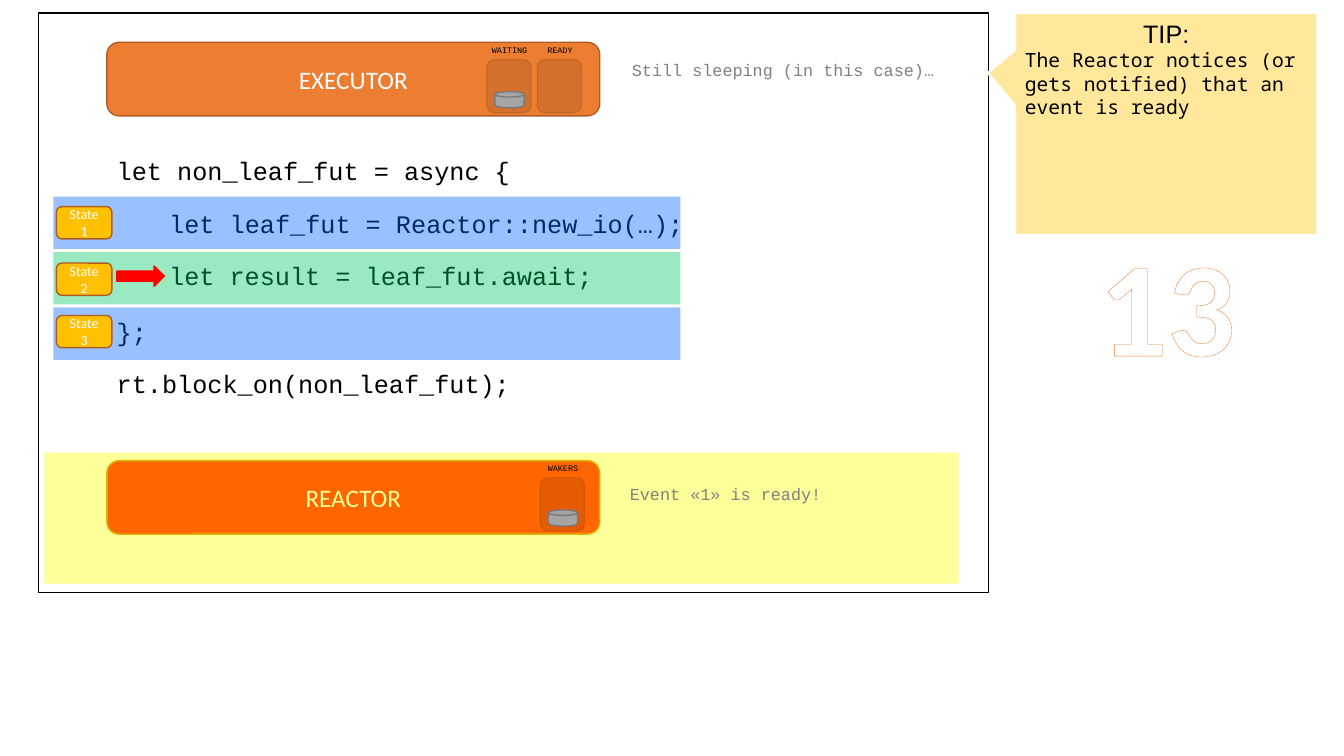
"""Build the slide on which the reactor notices that an event is ready."""
from dataclasses import dataclass

import pptx
import pptx.dml.color
import pptx.enum.shapes
import pptx.enum.text
import pptx.oxml
import pptx.oxml.ns
import pptx.util

SHAPE = pptx.enum.shapes.MSO_SHAPE
ALIGN = pptx.enum.text.PP_ALIGN
ANCHOR = pptx.enum.text.MSO_ANCHOR
CELL = pptx.util.Inches(0.1)
COLS, ROWS = 133.33, 75


@dataclass(frozen=True)
class Theme:
    """Colours, fonts and type sizes of the slide."""
    white: str = "FFFFFF"
    black: str = "000000"
    grey: str = "808080"
    orange: str = "ED7D31"
    rust: str = "AF5C24"
    red: str = "FF0000"
    olive: str = "BD8E00"
    yellow: str = "FFFF00"
    amber: str = "FFC000"
    blue: str = "0066FF"
    green: str = "00CC66"
    slot_line: str = "0D0D0D"
    disk: str = "A5A5A5"
    disk_line: str = "7A7A7A"
    tip: str = "FFE79B"
    sans: str = "Calibri"
    mono: str = "Courier New"
    tip_head: str = "Arial"
    tip_body: str = "Noto Sans Mono"
    tiny: int = 6
    small: int = 10
    note: int = 12
    body: int = 14
    main: int = 18
    huge: int = 96


T = Theme()


def cells(*values):
    """Turn grid units into lengths."""
    return [round(v * CELL) for v in values]


def set_color(fill, color, alpha=100):
    """Give a fill one colour, with an opacity in percent."""
    fill.solid()
    fill.fore_color.rgb = pptx.dml.color.RGBColor.from_string(color)
    if alpha < 100:
        clr = fill._xPr.find(".//" + pptx.oxml.ns.qn("a:srgbClr"))
        node = pptx.oxml.parse_xml(
            f'<a:alpha {pptx.oxml.ns.nsdecls("a")} val="{alpha * 1000}"/>')
        clr.append(node)


def add_box(shapes, kind, at, fill=None, line=None, alpha=100, line_alpha=100, width=1):
    """Add a preset shape with an optional fill and outline."""
    sp = shapes.add_shape(kind, *cells(*at))
    sp.shadow.inherit = False
    if fill:
        set_color(sp.fill, fill, alpha)
    else:
        sp.fill.background()
    if line:
        set_color(sp.line.fill, line, line_alpha)
        sp.line.width = pptx.util.Pt(width)
    else:
        sp.line.fill.background()
    return sp


def format_text(p, size, font, color, align=ALIGN.LEFT):
    """Format a paragraph and its runs."""
    p.alignment = align
    for r in p.runs:
        r.font.size = pptx.util.Pt(size)
        r.font.name = font
        r.font.color.rgb = pptx.dml.color.RGBColor.from_string(color)


def set_text(sp, text, size, font, color, align=ALIGN.LEFT, anchor=ANCHOR.TOP):
    """Write one wrapped paragraph into a shape."""
    tf = sp.text_frame
    tf.word_wrap = True
    tf.vertical_anchor = anchor
    tf.text = text
    format_text(tf.paragraphs[0], size, font, color, align)


def add_label(shapes, at, text, size, font, color, align=ALIGN.LEFT):
    """Add a text box."""
    sp = shapes.add_textbox(*cells(*at))
    set_text(sp, text, size, font, color, align)
    return sp


def add_button(shapes, at, text, size, fill, line):
    """Add a rounded box with centred white text."""
    sp = add_box(shapes, SHAPE.ROUNDED_RECTANGLE, at, fill, line)
    set_text(sp, text, size, T.sans, T.white, ALIGN.CENTER, ANCHOR.MIDDLE)


def add_code(shapes, x, y, w, text):
    """Add one line of code on white."""
    sp = add_box(shapes, SHAPE.RECTANGLE, (x, y, w, 4), T.white)
    set_text(sp, text, T.main, T.mono, T.black)


def add_queue(shapes, x, y, name, has_task):
    """Add a named queue slot, with a task disk if it holds one."""
    parts = shapes.add_group_shape().shapes
    add_box(parts, SHAPE.ROUNDED_RECTANGLE, (x, y, 4.4, 5.3),
            T.black, T.slot_line, alpha=10, line_alpha=10)
    if has_task:
        add_box(parts, SHAPE.FLOWCHART_MAGNETIC_DISK, (x + 0.8, y + 3.2, 2.9, 1.6),
                T.disk, T.disk_line)
    add_label(parts, (x - 0.6, y - 1.9, 5.7, 2), name, T.tiny, T.mono, T.black, ALIGN.CENTER)


def add_step_number(shapes, at, text):
    """Add a large outlined number."""
    sp = add_label(shapes, at, text, T.huge, T.sans, T.white, ALIGN.CENTER)
    font = sp.text_frame.paragraphs[0].runs[0].font
    font.bold = True
    outline = pptx.oxml.parse_xml(
        f'<a:ln {pptx.oxml.ns.nsdecls("a")} w="6600"><a:solidFill>'
        f'<a:srgbClr val="{T.orange}"/></a:solidFill></a:ln>')
    font._element.insert(0, outline)


def add_tip(shapes, at, title, body):
    """Add the callout with its title and body."""
    sp = add_box(shapes, SHAPE.RECTANGULAR_CALLOUT, at, T.tip, T.white, width=1.5)
    sp.adjustments[0], sp.adjustments[1] = -0.59, -0.23
    set_text(sp, title, T.main, T.tip_head, T.black, ALIGN.CENTER)
    p = sp.text_frame.add_paragraph()
    p.text = body
    format_text(p, T.body, T.tip_body, T.black)


def main():
    """Build and save the slide."""
    prs = pptx.Presentation()
    prs.slide_width, prs.slide_height = cells(COLS, ROWS)
    shapes = prs.slides.add_slide(prs.slide_layouts[6]).shapes

    add_button(shapes, (10.6, 4.2, 48.9, 7.3), "EXECUTOR", T.main, T.orange, T.rust)
    add_button(shapes, (10.6, 45.7, 48.9, 7.3), "REACTOR", T.main, T.red, T.olive)
    for x, y, w, text in (
            (10.6, 14.9, 46.6, "let non_leaf_fut = async {"),
            (15.8, 20.2, 63.5, "let leaf_fut = Reactor::new_io(…);"),
            (15.8, 25.3, 57.6, "let result = leaf_fut.await;"),
            (10.6, 30.9, 46.6, "};"),
            (10.6, 36, 46.6, "rt.block_on(non_leaf_fut);")):
        add_code(shapes, x, y, w, text)

    add_box(shapes, SHAPE.RECTANGLE, (3.8, 1.3, 94.3, 57.5), line=T.black)
    add_box(shapes, SHAPE.RECTANGLE, (4.4, 44.9, 90.7, 13), T.yellow, alpha=40)
    for x, y, text in ((61.7, 5.4, "Still sleeping (in this case)…"),
                       (61.5, 47.5, "Event «1» is ready!")):
        add_label(shapes, (x, y, 35.1, 5), text, T.note, T.mono, T.grey)
    add_step_number(shapes, (106.6, 21.5, 18.4, 17.2), "13")

    for x, y, name, has_task in ((53.6, 47.4, "WAKERS", True),
                                 (48.3, 5.9, "WAITING", True),
                                 (53.3, 5.9, "READY", False)):
        add_queue(shapes, x, y, name, has_task)
    add_tip(shapes, (100.7, 1.3, 30, 22), "TIP:",
            "The Reactor notices (or gets notified) that an event is ready")

    for i, color in enumerate((T.blue, T.green, T.blue)):
        add_box(shapes, SHAPE.RECTANGLE, (5.3, 19.5 + 5.5 * i, 62.2, 5.2), color, alpha=40)
    for i, y in enumerate((20.5, 26.1, 31.3), 1):
        add_button(shapes, (5.6, y, 5.5, 3.2), f"State {i}", T.small, T.amber, T.rust)
    add_box(shapes, SHAPE.RIGHT_ARROW, (11.6, 26.4, 4.7, 2), T.red, T.red)

    prs.save("out.pptx")


main()
